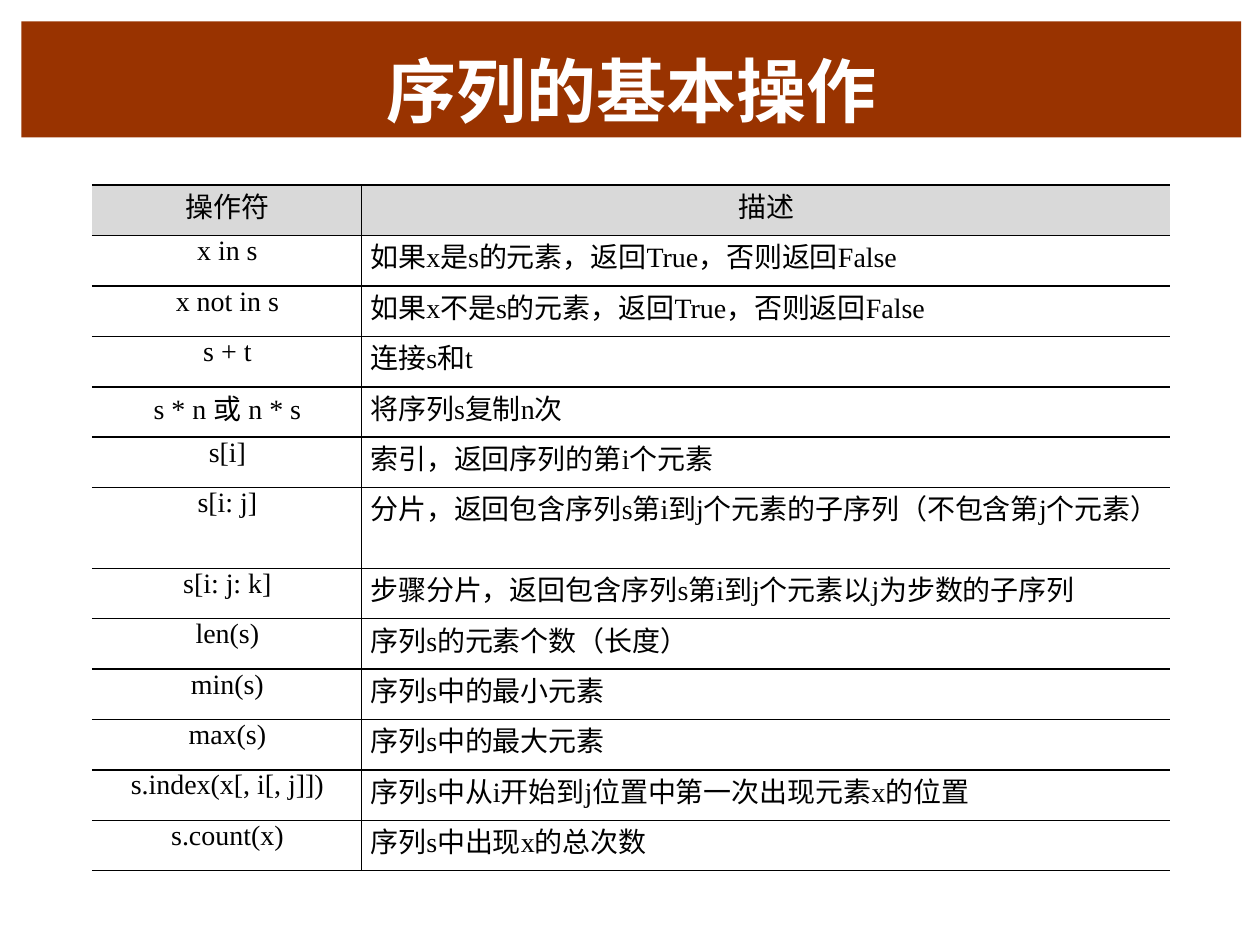
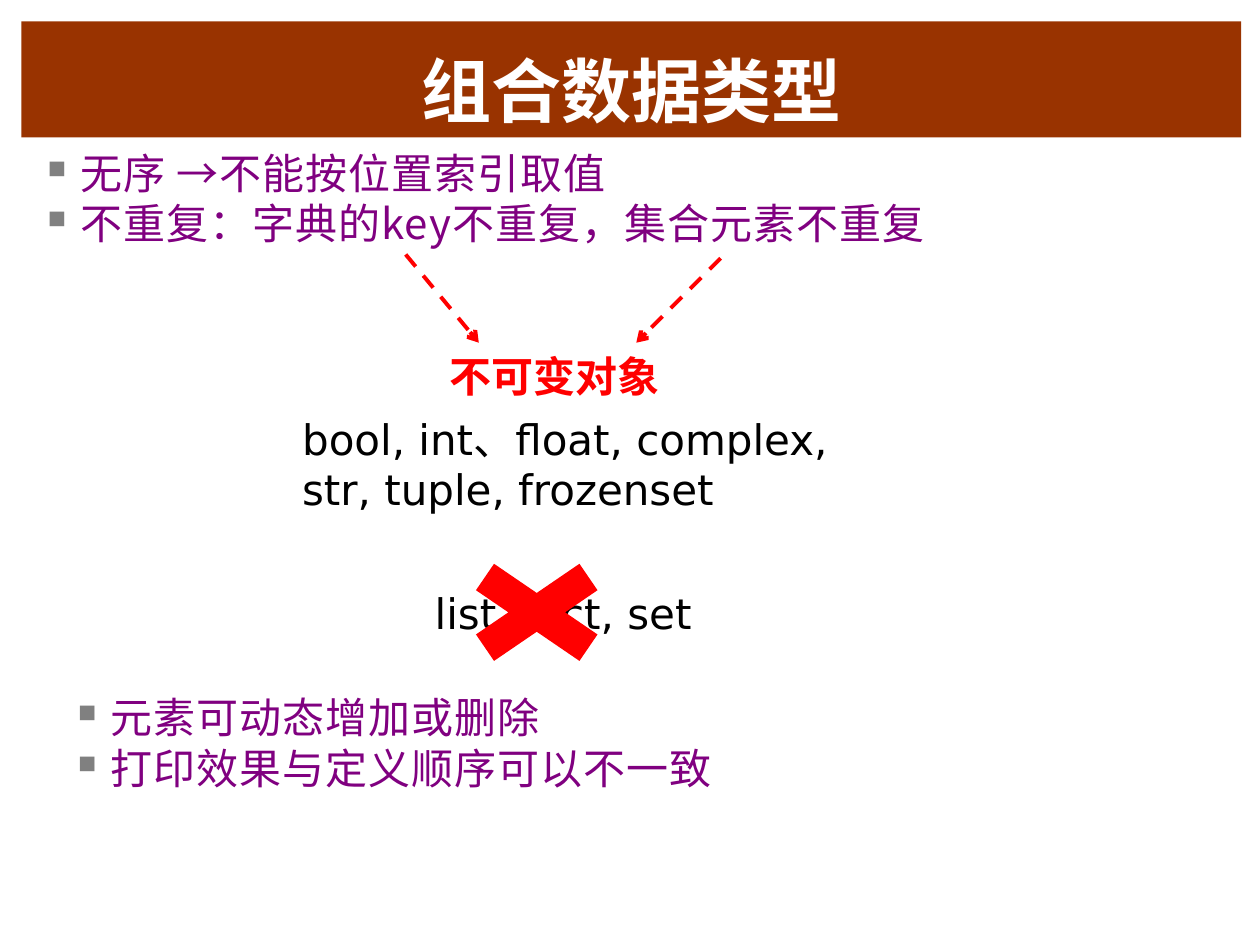
from dataclasses import dataclass
from itertools import groupby

from lxml import etree
from pptx import Presentation
from pptx import util as u
from pptx.dml.color import RGBColor
from pptx.enum import dml, shapes, text
from pptx.oxml import ns

# Shared look
BAND, WHITE, BLACK = "993300", "FFFFFF", "000000"
RED, PURPLE, GRAY, HEADER = "FF0000", "800080", "808080", "D9D9D9"
CJK, SERIF, SANS, TITLE = "Noto Sans CJK SC", "Times New Roman", "DejaVu Sans", "Arial"
LEFT, CENTER = text.PP_ALIGN.LEFT, text.PP_ALIGN.CENTER

OPERATIONS = [
    ("操作符", "描述"),
    ("x in s", "如果x是s的元素，返回True，否则返回False"),
    ("x not in s", "如果x不是s的元素，返回True，否则返回False"),
    ("s + t", "连接s和t"),
    ("s * n 或 n * s", "将序列s复制n次"),
    ("s[i]", "索引，返回序列的第i个元素"),
    ("s[i: j]", "分片，返回包含序列s第i到j个元素的子序列（不包含第j个元素）"),
    ("s[i: j: k]", "步骤分片，返回包含序列s第i到j个元素以j为步数的子序列"),
    ("len(s)", "序列s的元素个数（长度）"),
    ("min(s)", "序列s中的最小元素"),
    ("max(s)", "序列s中的最大元素"),
    ("s.index(x[, i[, j]])", "序列s中从i开始到j位置中第一次出现元素x的位置"),
    ("s.count(x)", "序列s中出现x的总次数"),
]


@dataclass
class Style:
    size: float
    font: str
    color: str
    bold: bool = False
    spacing: float = 0


@dataclass
class Label:
    left: float
    top: float
    width: float
    height: float
    lines: list
    style: Style
    align: int = LEFT
    bullet: bool = False


@dataclass
class Arrow:
    x1: float
    y1: float
    x2: float
    y2: float


BULLET = Style(24, CJK, PURPLE, spacing=0.6)
PLAIN = Style(24, SANS, BLACK)

LABELS = [
    Label(0.28, 1.12, 8.94, 0.91,
          ["无序 →不能按位置索引取值", "不重复：字典的key不重复，集合元素不重复"],
          BULLET, bullet=True),
    Label(0.52, 5.44, 5.89, 0.91,
          ["元素可动态增加或删除", "打印效果与定义顺序可以不一致"],
          BULLET, bullet=True),
    Label(3.47, 2.73, 2, 0.5, ["不可变对象"], Style(24, SANS, RED, bold=True)),
    Label(2.3, 3.23, 4.67, 0.91,
          ["bool, int、float, complex, str, tuple, frozenset"], PLAIN),
    Label(2.93, 4.61, 3.08, 0.51, ["list, dict, set"], PLAIN, CENTER),
]

ARROWS = [Arrow(3.22, 2.02, 3.8, 2.72), Arrow(5.72, 2.05, 5.05, 2.72)]


def rgb(color: str) -> RGBColor:
    return RGBColor.from_string(color)


def add_xml(parent, tag: str, **attributes):
    return etree.SubElement(parent, ns.qn(tag), attributes)


def add_span(para, words: str, style: Style) -> None:
    span = para.add_run()
    span.text = words
    font = span.font
    font.size, font.bold, font.name = u.Pt(style.size), style.bold, style.font
    font.color.rgb = rgb(style.color)
    properties = font._element
    add_xml(properties, "a:ea", typeface=style.font)
    if style.spacing:
        properties.set("spc", str(round(style.spacing * 100)))


def add_filled(page, kind, left: float, top: float, width: float, height: float, color: str):
    shape = page.shapes.add_shape(kind, u.Inches(left), u.Inches(top),
                                  u.Inches(width), u.Inches(height))
    shape.shadow.inherit = False
    shape.fill.solid()
    shape.fill.fore_color.rgb = rgb(color)
    shape.line.fill.background()
    return shape


def add_page(deck, title: str, font: str):
    page = deck.slides.add_slide(deck.slide_layouts[6])
    band = add_filled(page, shapes.MSO_SHAPE.RECTANGLE, 0.17, 0.17, 9.68, 0.92, BAND)
    frame = band.text_frame
    frame.word_wrap = True
    frame.vertical_anchor = text.MSO_ANCHOR.BOTTOM
    para = frame.paragraphs[0]
    para.alignment = CENTER
    add_span(para, title, Style(40, font, WHITE, bold=True))
    return page


def add_bullet(para) -> None:
    properties = para._p.get_or_add_pPr()
    indent = u.Inches(0.26)
    properties.set("marL", str(indent))
    properties.set("indent", str(-indent))
    add_xml(add_xml(properties, "a:buClr"), "a:srgbClr", val=GRAY)
    add_xml(properties, "a:buSzPct", val="60000")
    add_xml(properties, "a:buChar", char="■")


def add_label(page, label: Label) -> None:
    box = page.shapes.add_textbox(u.Inches(label.left), u.Inches(label.top),
                                  u.Inches(label.width), u.Inches(label.height))
    frame = box.text_frame
    frame.word_wrap = True
    for index, line in enumerate(label.lines):
        para = frame.add_paragraph() if index else frame.paragraphs[0]
        para.alignment = label.align
        para.line_spacing = u.Pt(28.8)
        if label.bullet:
            add_bullet(para)
        add_span(para, line, label.style)


def add_arrow(page, arrow: Arrow) -> None:
    ends = [u.Inches(value) for value in (arrow.x1, arrow.y1, arrow.x2, arrow.y2)]
    connector = page.shapes.add_connector(shapes.MSO_CONNECTOR.STRAIGHT, *ends)
    line = connector.line
    line.color.rgb = rgb(RED)
    line.width = u.Pt(2.25)
    line.dash_style = dml.MSO_LINE.DASH
    add_xml(line._get_or_add_ln(), "a:tailEnd", type="arrow")
    add_xml(connector._element.spPr, "a:effectLst")


def set_borders(cell, visible: str) -> None:
    properties = cell._tc.get_or_add_tcPr()
    for side in "LRTB":
        border = add_xml(properties, f"a:ln{side}", w=str(u.Pt(1)))
        if side in visible:
            add_xml(add_xml(border, "a:solidFill"), "a:srgbClr", val=BLACK)
        else:
            add_xml(border, "a:noFill")


def fill_cell(cell, words: str, is_header: bool, is_key: bool) -> None:
    cell.margin_left = cell.margin_right = cell.margin_top = cell.margin_bottom = 0
    set_borders(cell, "RTB" if is_key else "LTB")
    if is_header:
        cell.fill.solid()
        cell.fill.fore_color.rgb = rgb(HEADER)
    else:
        cell.fill.background()
    para = cell.text_frame.paragraphs[0]
    centred = is_header or is_key
    para.alignment = CENTER if centred else LEFT
    para._p.get_or_add_pPr().set("marL", str(u.Inches(0.01 if centred else 0.07)))
    # Latin code in serif, Chinese in sans
    for latin, letters in groupby(words, str.isascii):
        add_span(para, "".join(letters), Style(16, SERIF if latin else CJK, BLACK))


def add_operations(page) -> None:
    row_height = 0.4
    widths = (2.14, 6.42)
    table = page.shapes.add_table(
        len(OPERATIONS), len(widths), u.Inches(0.73), u.Inches(1.47),
        u.Inches(sum(widths)), u.Inches(row_height * len(OPERATIONS))).table
    table.first_row = table.horz_banding = False
    for column, width in zip(table.columns, widths):
        column.width = u.Inches(width)
    for row, operation in enumerate(OPERATIONS):
        table.rows[row].height = u.Inches(row_height)
        for column, words in enumerate(operation):
            fill_cell(table.cell(row, column), words, row == 0, column == 0)


def main() -> None:
    deck = Presentation()
    deck.slide_width, deck.slide_height = u.Inches(10), u.Inches(7.5)

    # Sequence operations
    add_operations(add_page(deck, "序列的基本操作", TITLE))

    # Compound data types
    page = add_page(deck, "组合数据类型", SANS)
    for arrow in ARROWS:
        add_arrow(page, arrow)
    for label in LABELS:
        add_label(page, label)
    add_filled(page, shapes.MSO_SHAPE.MATH_MULTIPLY, 3.47, 4.32, 1.58, 1.08, RED)

    deck.save("out.pptx")


if __name__ == "__main__":
    main()
